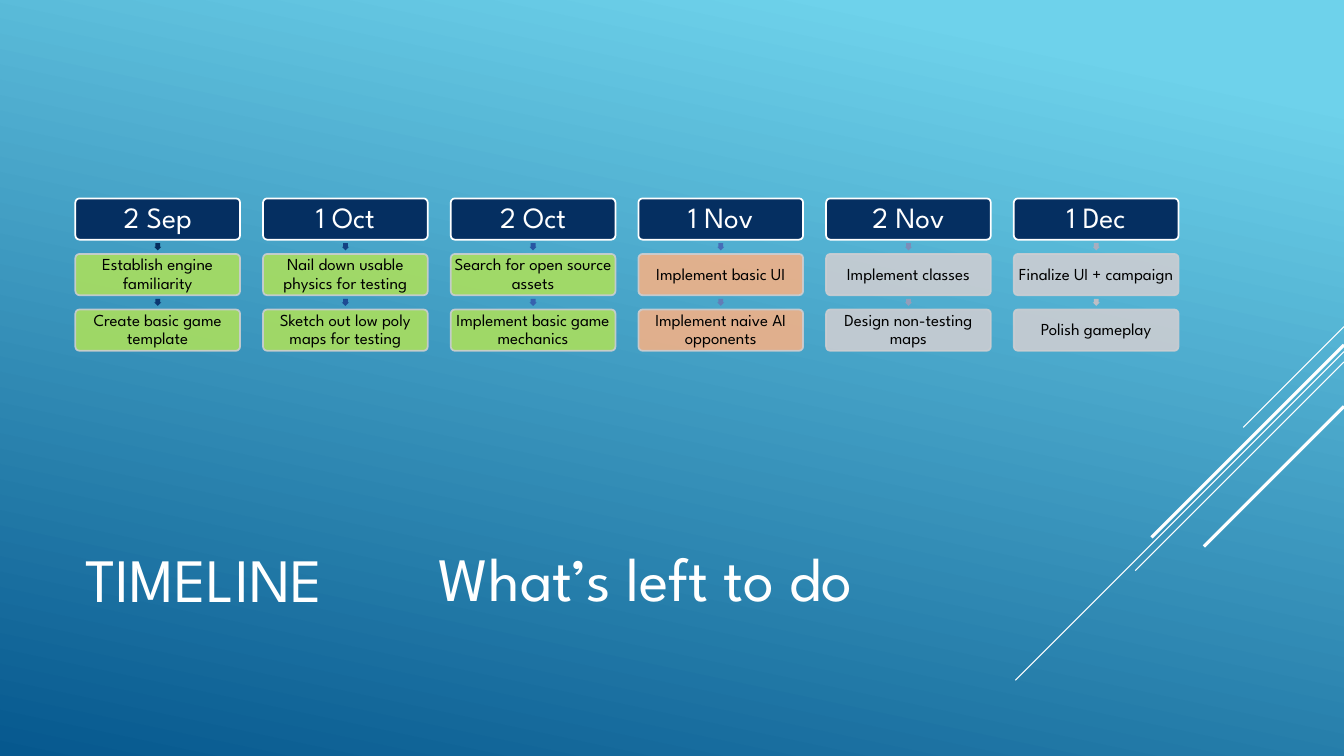
import dataclasses

import pptx
import pptx.dml.color
import pptx.enum.shapes
import pptx.enum.text
import pptx.oxml.ns
import pptx.util
from lxml import etree

Cm = pptx.util.Cm
Pt = pptx.util.Pt
Shape = pptx.enum.shapes.MSO_SHAPE
Align = pptx.enum.text.PP_ALIGN
Anchor = pptx.enum.text.MSO_ANCHOR
Fit = pptx.enum.text.MSO_AUTO_SIZE
qn = pptx.oxml.ns.qn


@dataclasses.dataclass(frozen=True)
class Theme:
    """Colours, font and type sizes of the slide."""
    font: str = "League Spartan"
    white: str = "FFFFFF"
    black: str = "000000"
    sky: str = "6ED2EB"
    deep: str = "06588E"
    navy: str = "052F61"
    edge: str = "CCCED2"
    done: str = "AADF5E"
    doing: str = "F1B187"
    later: str = "CCCDD2"
    ramp: tuple = ("052D5D", "0B3771", "134283", "1D4C93", "2856A2", "3661AE",
                   "466DB8", "627DB7", "7B8DB8", "939EBA", "A9AEBF", "BCBEC5")
    title: int = 44
    date: int = 21
    task: int = 12


THEME = Theme()

WIDE, HIGH = 33.87, 19.05
LEFT, TOP = 1.9, 5.0
BOX_W, BOX_H = 4.15, 1.04
STEP_X, STEP_Y = 4.73, 1.4
ARROW = 0.18

# Date, state colour, tasks
PLAN = [
    ("2 Sep", THEME.done,
     ["Establish engine familiarity", "Create basic game template"]),
    ("1 Oct", THEME.done,
     ["Nail down usable physics for testing",
      "Sketch out low poly maps for testing"]),
    ("2 Oct", THEME.done,
     ["Search for open source assets", "Implement basic game mechanics"]),
    ("1 Nov", THEME.doing,
     ["Implement basic UI", "Implement naive AI opponents"]),
    ("2 Nov", THEME.later,
     ["Implement classes", "Design non-testing maps"]),
    ("1 Dec", THEME.later,
     ["Finalize UI + campaign", "Polish gameplay"]),
]

# Height at the right edge, drop at 45 degrees, line width
RAYS = [(8.23, 2.54, 0.75), (8.86, 8.28, 0.75), (9.12, 5.26, 0.75),
        (8.69, 4.85, 2.25), (10.24, 3.53, 2.25)]


def rgb(code):
    """Turn a hex code into a colour."""
    return pptx.dml.color.RGBColor.from_string(code)


def write(frame, text, size, color, align=Align.LEFT):
    """Put one formatted paragraph into a text frame."""
    frame.text = text
    para = frame.paragraphs[0]
    para.alignment = align
    font = para.runs[0].font
    font.name, font.size = THEME.font, Pt(size)
    font.color.rgb = rgb(color)
    return para


def fade(shape, share):
    """Make the fill and line of a shape partly see-through."""
    for color in shape._element.spPr.iter(qn("a:srgbClr")):
        etree.SubElement(color, qn("a:alpha"), val=str(share * 1000))


def paint(slide):
    """Fill the background with the blue gradient."""
    fill = slide.background.fill
    fill.gradient()
    fill.gradient_angle = 258
    stops = [(THEME.sky, 0.1), (THEME.deep, 1.0)]
    for stop, (color, place) in zip(fill.gradient_stops, stops):
        stop.color.rgb = rgb(color)
        stop.position = place


def add_ray(slide, top, drop, width):
    """Draw a diagonal line down from the right edge."""
    ray = slide.shapes.add_connector(
        pptx.enum.shapes.MSO_CONNECTOR.STRAIGHT,
        Cm(WIDE), Cm(top), Cm(WIDE - drop), Cm(top + drop))
    ray.line.color.rgb = rgb(THEME.white)
    ray.line.width = Pt(width)
    etree.SubElement(ray._element.spPr, qn("a:effectLst"))


def add_box(slide, left, top, text, size, fill, line, ink, inset):
    """Draw a rounded box with centred text."""
    box = slide.shapes.add_shape(Shape.ROUNDED_RECTANGLE, Cm(left), Cm(top),
                                 Cm(BOX_W), Cm(BOX_H))
    box.adjustments[0] = 0.1
    box.shadow.inherit = False
    box.fill.solid()
    box.fill.fore_color.rgb = rgb(fill)
    box.line.color.rgb = rgb(line)
    box.line.width = Pt(1.25)
    frame = box.text_frame
    frame.word_wrap = True
    frame.vertical_anchor = Anchor.MIDDLE
    frame.margin_left = frame.margin_right = Cm(inset)
    frame.margin_top = frame.margin_bottom = Cm(inset)
    write(frame, text, size, ink, Align.CENTER).line_spacing = 0.9
    return box


def add_arrow(slide, left, top, color):
    """Draw a small arrow that points down."""
    arrow = slide.shapes.add_shape(Shape.RIGHT_ARROW, Cm(left), Cm(top),
                                   Cm(ARROW), Cm(ARROW))
    arrow.rotation = 90
    arrow.adjustments[0] = 0.67
    arrow.shadow.inherit = False
    arrow.fill.solid()
    arrow.fill.fore_color.rgb = rgb(color)
    arrow.line.fill.background()


def add_stage(slide, left, date, state, tasks, tints):
    """Draw a date with its tasks and arrows below."""
    add_box(slide, left, TOP, date, THEME.date, THEME.navy, THEME.white,
            THEME.white, 0.1)
    for row, (task, tint) in enumerate(zip(tasks, tints), 1):
        top = TOP + row * STEP_Y
        gap = STEP_Y - BOX_H
        add_arrow(slide, left + (BOX_W - ARROW) / 2,
                  top - (gap + ARROW) / 2, tint)
        box = add_box(slide, left, top, task, THEME.task, state, THEME.edge,
                      THEME.black, 0.05)
        fade(box, 90)


def set_title(slide, text):
    """Place and format the title."""
    title = slide.shapes.title
    title.left, title.top = Cm(LEFT), Cm(12.47)
    title.width, title.height = Cm(8.89), Cm(4.19)
    title.text_frame.vertical_anchor = Anchor.MIDDLE
    write(title.text_frame, text, THEME.title, THEME.white)


def add_note(slide, text):
    """Add the large line beside the title."""
    note = slide.shapes.add_textbox(Cm(10.8), Cm(13.49), Cm(13.03), Cm(2.13))
    note.text_frame.word_wrap = False
    note.text_frame.auto_size = Fit.SHAPE_TO_FIT_TEXT
    write(note.text_frame, text, THEME.title, THEME.white)


def main():
    """Build the timeline slide and save it."""
    deck = pptx.Presentation()
    deck.slide_width, deck.slide_height = Cm(WIDE), Cm(HIGH)
    slide = deck.slides.add_slide(deck.slide_layouts[5])
    paint(slide)
    for ray in RAYS:
        add_ray(slide, *ray)
    set_title(slide, "TIMELINE")
    for col, (date, state, tasks) in enumerate(PLAN):
        tints = THEME.ramp[2 * col:2 * col + 2]
        add_stage(slide, LEFT + col * STEP_X, date, state, tasks, tints)
    add_note(slide, "What’s left to do")
    deck.save("out.pptx")


main()
